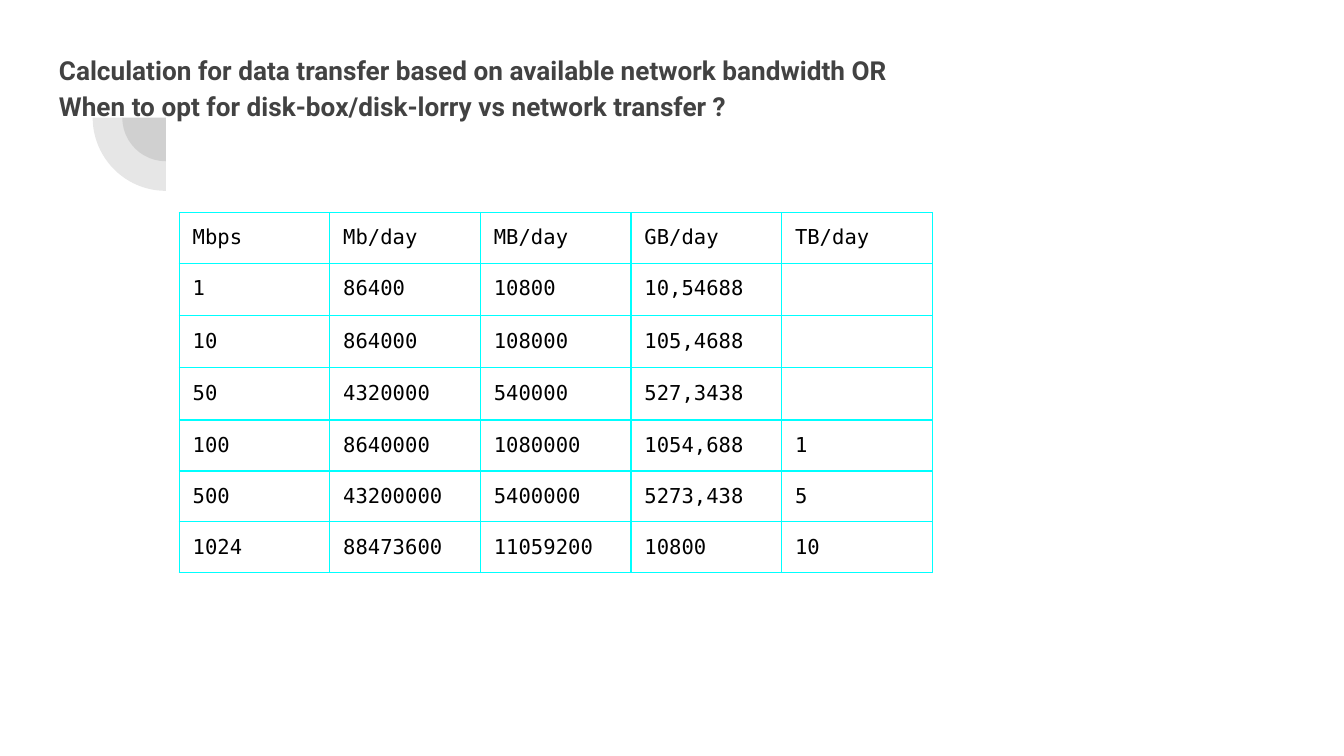
from pptx import Presentation
from pptx.dml.color import RGBColor
from pptx.enum.shapes import MSO_SHAPE
from pptx.enum.text import MSO_ANCHOR
from pptx.oxml.ns import qn
from pptx.util import Pt
from lxml.etree import SubElement

# Content
TITLE = [
    "Calculation for data transfer based on available network bandwidth OR",
    "When to opt for disk-box/disk-lorry vs network transfer ?",
]
ROWS = [
    ("Mbps", "Mb/day", "MB/day", "GB/day", "TB/day"),
    ("1", "86400", "10800", "10,54688", ""),
    ("10", "864000", "108000", "105,4688", ""),
    ("50", "4320000", "540000", "527,3438", ""),
    ("100", "8640000", "1080000", "1054,688", "1"),
    ("500", "43200000", "5400000", "5273,438", "5"),
    ("1024", "88473600", "11059200", "10800", "10"),
]
COLORS = {"title": "424242", "text": "000000", "border": "00FFFF"}
PIE_CENTER = (88.9, 63)
PIE_SIZES = (46.8, 78.5)
TABLE_LEFT, TABLE_TOP = 96, 113.76
COL_W, ROW_H = 80.7, 27.2
INSET = Pt(7.2)


def rgb(name):
    return RGBColor.from_string(COLORS[name])


def add_run(p, text, font, size, color, bold=False):
    r = p.add_run()
    r.text = text
    r.font.name, r.font.size, r.font.bold = font, Pt(size), bold
    r.font.color.rgb = rgb(color)


def set_borders(cell):
    tcPr = cell._tc.get_or_add_tcPr()
    for i, side in enumerate(("lnL", "lnR", "lnT", "lnB")):
        ln = tcPr.makeelement(qn(f"a:{side}"), {"w": str(Pt(0.75))})
        fill = SubElement(ln, qn("a:solidFill"))
        SubElement(fill, qn("a:srgbClr"), val=COLORS["border"])
        tcPr.insert(i, ln)


prs = Presentation()
prs.slide_width, prs.slide_height = Pt(720), Pt(405)
s = prs.slides.add_slide(prs.slide_layouts[6])

# Concentric quarter circles
cx, cy = PIE_CENTER
for size in PIE_SIZES:
    sp = s.shapes.add_shape(MSO_SHAPE.PIE, Pt(cx - size / 2), Pt(cy - size / 2),
                            Pt(size), Pt(size))
    sp.rotation = 270
    sp.adjustments[0], sp.adjustments[1] = 108, 162
    sp.shadow.inherit = False
    sp.line.fill.background()
    sp.fill.solid()
    sp.fill.fore_color.rgb = rgb("title")
    clr = sp.fill._xPr.find(".//" + qn("a:srgbClr"))
    SubElement(clr, qn("a:alpha"), val="13000")

# Bandwidth table
n_rows, n_cols = len(ROWS), len(ROWS[0])
table = s.shapes.add_table(n_rows, n_cols, Pt(TABLE_LEFT), Pt(TABLE_TOP),
                           Pt(COL_W * n_cols), Pt(ROW_H * n_rows)).table
table.first_row = table.horz_banding = False
for col in table.columns:
    col.width = Pt(COL_W)
for row, values in zip(table.rows, ROWS):
    row.height = Pt(ROW_H)
    for cell, text in zip(row.cells, values):
        cell.margin_left = cell.margin_right = INSET
        cell.margin_top = cell.margin_bottom = INSET
        cell.fill.background()
        set_borders(cell)
        p = cell.text_frame.paragraphs[0]
        if text:
            add_run(p, text, "DejaVu Sans Mono", 11, "text")
        else:
            SubElement(p._p, qn("a:endParaRPr"), sz="1100")

# Title
tf = s.shapes.add_textbox(Pt(24.5), Pt(19.4), Pt(679.7), Pt(59.8)).text_frame
tf.word_wrap = True
tf.vertical_anchor = MSO_ANCHOR.TOP
tf.margin_left = tf.margin_right = tf.margin_top = tf.margin_bottom = INSET
for i, line in enumerate(TITLE):
    p = tf.add_paragraph() if i else tf.paragraphs[0]
    p.line_spacing = 1.15
    add_run(p, line, "Roboto", 14, "title", bold=True)

prs.save("out.pptx")
